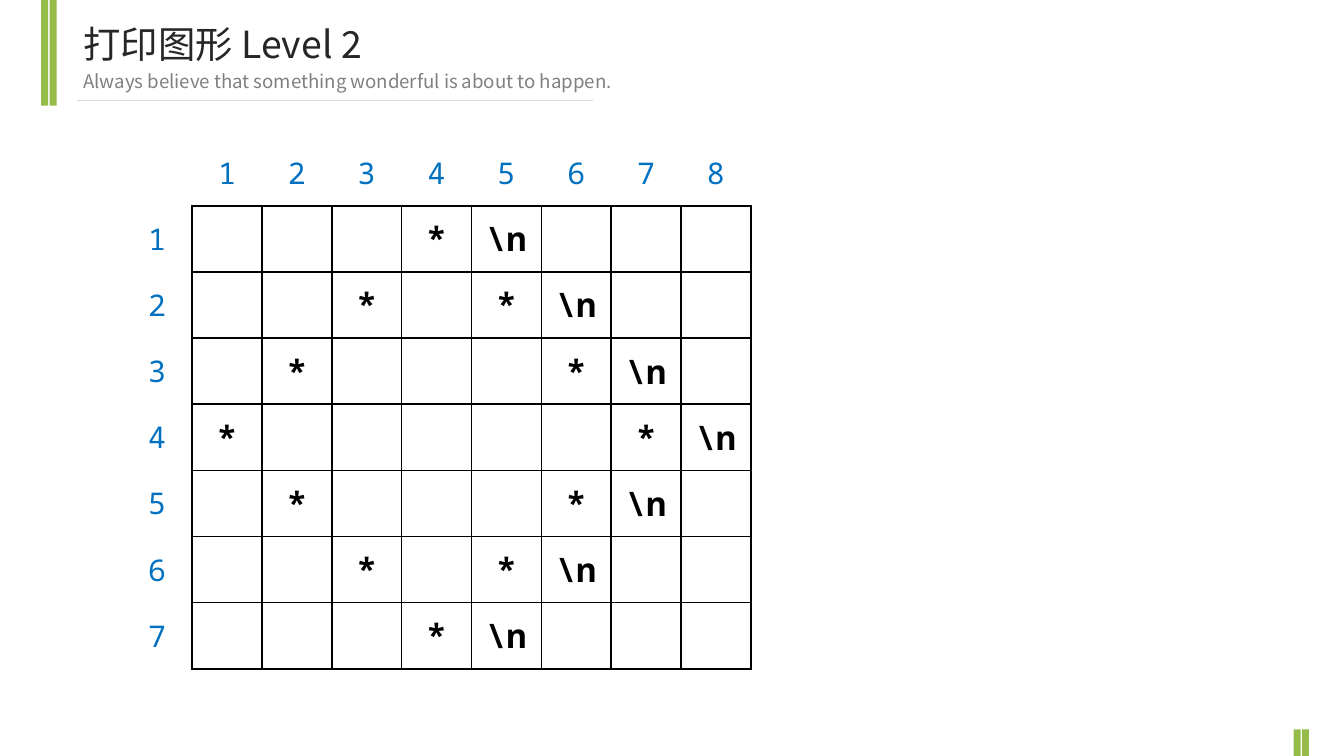
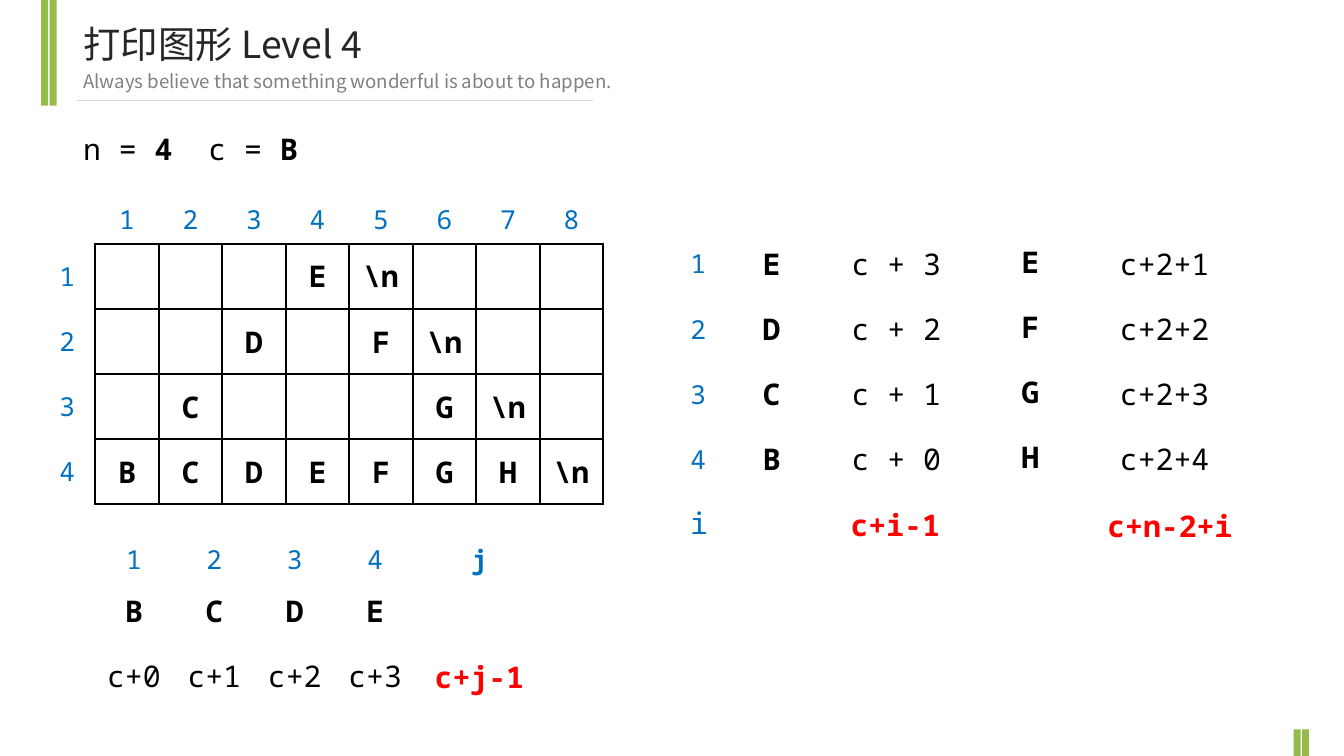
"""Build two slides about printing character patterns."""
from dataclasses import dataclass

from lxml.etree import SubElement
from pptx import Presentation
from pptx.dml.color import RGBColor
from pptx.enum.shapes import MSO_CONNECTOR, MSO_SHAPE
from pptx.enum.text import MSO_ANCHOR, MSO_AUTO_SIZE, PP_ALIGN
from pptx.oxml.ns import qn
from pptx.util import Cm, Pt

GREEN = RGBColor(0x95, 0xBC, 0x49)
RULE_GRAY = RGBColor(0xD9, 0xD9, 0xD9)
TITLE_GRAY = RGBColor(0x26, 0x26, 0x26)
SUBTITLE_GRAY = RGBColor(0x80, 0x80, 0x80)
BLACK = RGBColor(0, 0, 0)
BLUE = RGBColor(0x00, 0x70, 0xC0)
RED = RGBColor(0xFF, 0, 0)

SANS = "Noto Sans CJK SC"
MONO = "Noto Sans Mono"
NO_TABLE_STYLE = "{2D5ABB26-0587-4C30-8999-92F81FD0307C}"
SUBTITLE = "Always believe that something wonderful is about to happen."
LINE_END = "\\n"
PEAK = 4


@dataclass
class TextStyle:
    """Size, colour and weight of a text."""
    size: int
    color: RGBColor
    bold: bool = False
    font: str = MONO


TITLE = TextStyle(20, TITLE_GRAY, font=SANS)
MOTTO = TextStyle(10, SUBTITLE_GRAY, font=SANS)
STAR_LABEL = TextStyle(16, BLUE)
STAR = TextStyle(18, BLACK, True)
LABEL = TextStyle(14, BLUE)
BOLD_LABEL = TextStyle(14, BLUE, True)
LETTER = TextStyle(16, BLACK, True)
PLAIN = TextStyle(16, BLACK)
RESULT = TextStyle(16, RED, True)


def format_paragraph(paragraph, style):
    """Apply a text style to a whole paragraph."""
    font = paragraph.font
    font.size = Pt(style.size)
    font.bold = style.bold
    font.color.rgb = style.color
    font.name = style.font
    defaults = paragraph._p.get_or_add_pPr().find(qn("a:defRPr"))
    SubElement(defaults, qn("a:ea"), typeface=style.font)


def add_bar(slide, left, top, height):
    """Add one narrow green bar."""
    bar = slide.shapes.add_shape(MSO_SHAPE.RECTANGLE, left, top, Cm(0.13), height)
    bar.shadow.inherit = False
    bar.fill.solid()
    bar.fill.fore_color.rgb = GREEN
    bar.line.fill.background()
    return bar


def decorate_layout(slide):
    """Draw the bars and the title rule, and move them to the slide's layout."""
    decorations = [
        add_bar(slide, left + index * Cm(0.16), top, height)
        for left, top, height in ((Cm(0.78), 0, Cm(2)), (Cm(24.45), Cm(13.79), Cm(0.5)))
        for index in range(2)
    ]
    rule = slide.shapes.add_connector(
        MSO_CONNECTOR.STRAIGHT, Cm(1.45), Cm(1.9), Cm(11.2), Cm(1.9))
    rule.line.color.rgb = RULE_GRAY
    rule.line.width = Pt(0.75)
    SubElement(rule.element.spPr, qn("a:effectLst"))
    for shape in decorations + [rule]:
        slide.slide_layout.shapes.element.append(shape.element)


def fill_placeholder(shape, text, style, top, width, height):
    """Place a placeholder and give it one line of plain text."""
    shape.left, shape.top, shape.width, shape.height = Cm(1.32), top, width, height
    frame = shape.text_frame
    frame.text = text
    frame.word_wrap = True
    frame.auto_size = MSO_AUTO_SIZE.SHAPE_TO_FIT_TEXT
    frame.vertical_anchor = MSO_ANCHOR.TOP
    paragraph = frame.paragraphs[0]
    paragraph.alignment = PP_ALIGN.LEFT
    paragraph.space_before = Pt(0)
    properties = paragraph._p.get_or_add_pPr()
    properties.set("marL", "0")
    properties.set("indent", "0")
    SubElement(properties, qn("a:buNone"))
    format_paragraph(paragraph, style)


def add_titled_slide(presentation, title, subtitle_width):
    """Add a slide with its title and subtitle."""
    slide = presentation.slides.add_slide(presentation.slide_layouts[1])
    fill_placeholder(slide.shapes.title, title, TITLE, Cm(0.28), Cm(10.74), Cm(1.12))
    fill_placeholder(slide.placeholders[1], SUBTITLE, MOTTO,
                     Cm(1.19), subtitle_width, Cm(0.69))
    return slide


def add_border(cell, sides):
    """Draw a black line on the named sides of a cell."""
    properties = cell._tc.get_or_add_tcPr()
    for side in sides:
        line = SubElement(properties, qn(f"a:ln{side}"), w=str(Pt(1)))
        fill = SubElement(line, qn("a:solidFill"))
        SubElement(fill, qn("a:srgbClr"), val=str(BLACK))


def border_sides(row, column):
    """Name the bordered sides of a cell in a grid with labels."""
    if row and column:
        return "LRTB"
    return "R" if row else "B" if column else ""


def add_text_table(slide, left, top, widths, heights, rows, style_at, bordered=False):
    """Add a table of centred texts, styled by row and column index."""
    table = slide.shapes.add_table(
        len(heights), len(widths), left, top, sum(widths), sum(heights)).table
    table.first_row = table.horz_banding = False
    table._tbl.tblPr.find(qn("a:tableStyleId")).text = NO_TABLE_STYLE
    for column, width in zip(table.columns, widths):
        column.width = width
    for row, height in zip(table.rows, heights):
        row.height = height
    for row_index, texts in enumerate(rows):
        for column_index, text in enumerate(texts):
            cell = table.cell(row_index, column_index)
            cell.text = text
            cell.vertical_anchor = MSO_ANCHOR.MIDDLE
            cell.margin_left = cell.margin_right = Cm(0.1)
            paragraph = cell.text_frame.paragraphs[0]
            paragraph.alignment = PP_ALIGN.CENTER
            format_paragraph(paragraph, style_at(row_index, column_index))
            if bordered:
                add_border(cell, border_sides(row_index, column_index))
            cell.fill.background()
    return table


def add_column(slide, left, top, width, heights, texts, style):
    """Add a one-column table in a single style."""
    return add_text_table(slide, left, top, [width], heights,
                          [[text] for text in texts], lambda row, column: style)


def pattern_row(reach, symbols, filled=False):
    """Return eight cells with symbols around the peak column and a line end."""
    first, last = PEAK - 1 - reach, PEAK - 1 + reach
    cells = [""] * (2 * PEAK)
    for column in range(first, last + 1):
        if filled or column in (first, last):
            cells[column] = symbols[column]
    cells[last + 1] = LINE_END
    return cells


def add_pattern_grid(slide, left, top, widths, heights, patterns, label, mark):
    """Add a bordered grid with numbered rows and columns."""
    rows = [["", *map(str, range(1, 2 * PEAK + 1))]]
    rows += [[str(number), *cells] for number, cells in enumerate(patterns, 1)]
    add_text_table(slide, left, top, widths, heights, rows,
                   lambda row, column: mark if row and column else label, True)


def add_parameters(slide):
    """Add the line that gives the values of n and c."""
    table = add_column(slide, Cm(1.32), Cm(2.31), Cm(10.67), [Cm(0.89)], [""], PLAIN)
    cell = table.cell(0, 0)
    cell.margin_left = Cm(0.25)
    paragraph = cell.text_frame.paragraphs[0]
    paragraph.alignment = PP_ALIGN.LEFT
    properties = paragraph._p.get_or_add_pPr()
    tabs = properties.makeelement(qn("a:tabLst"))
    SubElement(tabs, qn("a:tab"), pos=str(Cm(2.37)), algn="l")
    properties.find(qn("a:defRPr")).addprevious(tabs)
    for text, bold in (("n = ", False), ("4", True), ("\tc = ", False), ("B", True)):
        run = paragraph.add_run()
        run.text = text
        run.font.bold = bold


def build_diamond_slide(presentation):
    """Build the slide with the diamond of stars."""
    slide = add_titled_slide(presentation, "打印图形 Level 2", Cm(13.74))
    decorate_layout(slide)
    patterns = [pattern_row(PEAK - 1 - abs(PEAK - row), "*" * 7)
                for row in range(1, 2 * PEAK)]
    add_pattern_grid(slide, Cm(2.31), Cm(2.64), [Cm(1.32)] * 9, [Cm(1.25)] * 8,
                     patterns, STAR_LABEL, STAR)


def build_letter_slide(presentation):
    """Build the slide with the letter triangle and its formulas."""
    slide = add_titled_slide(presentation, "打印图形 Level 4", Cm(11.63))
    add_parameters(slide)
    row_height = Cm(1.23)
    four_rows = [row_height] * PEAK
    label_height, letter_height, formula_height = Cm(0.93), Cm(0.89), Cm(1.61)

    add_column(slide, Cm(18.44), Cm(4.34), Cm(2.06), four_rows + [row_height],
               [*"EFGH", ""], LETTER)
    base_styles = (LABEL, LETTER, PLAIN)
    base_rows = [["", *"1234"], ["", *"BCDE"], ["", *(f"c+{step}" for step in range(4))]]
    add_text_table(slide, Cm(0.41), Cm(10.11), [Cm(1.36)] + [Cm(1.52)] * 4,
                   [label_height, letter_height, formula_height], base_rows,
                   lambda row, column: base_styles[row])

    patterns = [pattern_row(reach, "BCDEFGH", reach == PEAK - 1) for reach in range(PEAK)]
    add_pattern_grid(slide, Cm(0.74), Cm(3.68), [Cm(1.06)] + [Cm(1.2)] * 8,
                     [label_height] + four_rows, patterns, LABEL, LETTER)

    add_column(slide, Cm(7.14), Cm(10.11), Cm(3.84), [label_height], ["j"], BOLD_LABEL)
    add_text_table(slide, Cm(12.5), Cm(9.27), [Cm(1.42)] * 2, [row_height],
                   [["i", ""]], lambda row, column: STAR_LABEL)
    add_column(slide, Cm(14.94), Cm(9.3), Cm(3.96), [row_height], ["c+i-1"], RESULT)
    add_column(slide, Cm(20.6), Cm(9.32), Cm(3.02), [row_height], ["c+n-2+i"], RESULT)

    edge_styles = (LABEL, LETTER)
    add_text_table(slide, Cm(12.5), Cm(4.37), [Cm(1.39)] * 2, four_rows,
                   list(zip("1234", "EDCB")), lambda row, column: edge_styles[column])
    add_column(slide, Cm(14.96), Cm(4.37), Cm(3.96), four_rows,
               [f"c + {step}" for step in (3, 2, 1, 0)], PLAIN)
    add_column(slide, Cm(20.5), Cm(4.37), Cm(3.02), four_rows,
               [f"c+2+{step}" for step in (1, 2, 3, 4)], PLAIN)
    add_column(slide, Cm(7.14), Cm(11.05), Cm(3.84), [letter_height, formula_height],
               ["", "c+j-1"], RESULT)


def main():
    """Create and save the presentation."""
    presentation = Presentation()
    presentation.slide_width, presentation.slide_height = Cm(25.4), Cm(14.29)
    build_diamond_slide(presentation)
    build_letter_slide(presentation)
    presentation.save("out.pptx")


if __name__ == "__main__":
    main()
